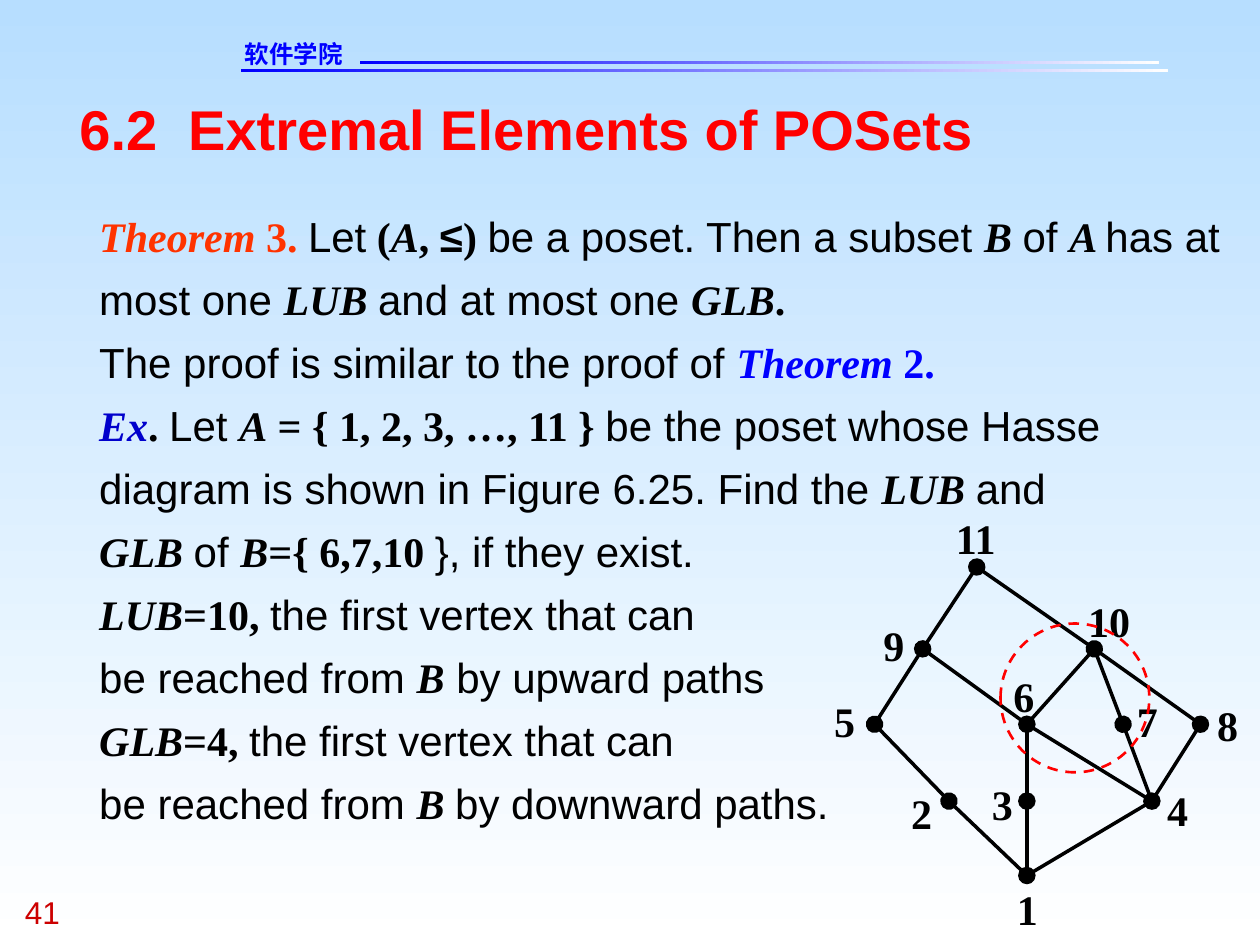
import pptx
import pptx.util
import pptx.dml.color
import pptx.enum.dml
import pptx.enum.shapes
import pptx.enum.text
import pptx.oxml
import pptx.oxml.ns

Cm = pptx.util.Cm
Pt = pptx.util.Pt
ANCHOR = pptx.enum.text.MSO_ANCHOR
ALIGN = pptx.enum.text.PP_ALIGN
SHAPE = pptx.enum.shapes.MSO_SHAPE

THEME = {
    "sans": "Arial", "serif": "Times New Roman", "school": "DejaVu Sans",
    "ink": "000000", "red": "FF0000", "blue": "0000FF", "navy": "0000CC",
    "orange": "FF3300", "page": "CC0000", "sky": "B7DEFF", "white": "FFFFFF",
    "head": 32, "text": 24, "foot": 18, "mark": 14, "edge": 2, "ring": 1.5,
}

PLAIN = {}
BOLD = dict(font="serif", bold=True)
ITAL = dict(font="serif", bold=True, italic=True)

TITLE = "6.2  Extremal Elements of POSets"
SCHOOL = "软件学院"
PAGE = "41"
BODY = [
    [("Theorem ", dict(ITAL, color="orange")), ("3. ", dict(BOLD, color="orange")),
     ("Let", PLAIN), (" (", BOLD), ("A", ITAL), (", ", BOLD), ("≤", dict(bold=True)),
     (") ", BOLD), ("be a poset. Then a subset ", PLAIN), ("B ", ITAL), ("of ", PLAIN),
     ("A ", ITAL), ("has at most one ", PLAIN), ("LUB ", ITAL),
     ("and at most one ", PLAIN), ("GLB", ITAL), (".", BOLD)],
    [("The proof is similar to the proof of ", PLAIN),
     ("Theorem", dict(ITAL, color="blue")), (" 2.", dict(BOLD, color="blue"))],
    [("Ex", dict(ITAL, color="navy")), (". ", BOLD), ("Let ", PLAIN), ("A", ITAL),
     (" = { 1, 2, 3, …, 11 } ", BOLD),
     ("be the poset whose Hasse diagram is shown in Figure 6.25. Find the ", PLAIN),
     ("LUB ", ITAL), ("and\n", PLAIN), ("GLB ", ITAL), ("of ", PLAIN), ("B", ITAL),
     ("={ 6,7,10 ", BOLD), ("}, if they exist.", PLAIN)],
    [("LUB", ITAL), ("=10, ", BOLD),
     ("the first vertex that can\nbe reached from ", PLAIN),
     ("B", ITAL), (" by upward paths", PLAIN)],
    [("GLB", ITAL), ("=4, ", BOLD),
     ("the first vertex that can\nbe reached from ", PLAIN),
     ("B ", ITAL), ("by downward paths.", PLAIN)],
]

NODES = {
    1: (20.7, 17.65), 2: (19.13, 16.15), 3: (20.7, 16.15), 4: (23.22, 16.15),
    5: (17.63, 14.6), 6: (20.7, 14.6), 7: (22.64, 14.6), 8: (24.2, 14.6),
    9: (18.6, 13.08), 10: (22.06, 13.08), 11: (19.69, 11.43),
}
LABELS = {
    1: (20.71, 18.31), 2: (18.58, 16.38), 3: (20.21, 16.2), 4: (23.74, 16.33),
    5: (17.03, 14.53), 6: (20.64, 14.02), 7: (23.13, 14.53), 8: (24.75, 14.6),
    9: (18.02, 13), 10: (22.36, 12.52), 11: (19.67, 10.85),
}
EDGES = [(1, 2), (1, 3), (1, 4), (2, 5), (3, 6), (4, 6), (4, 7), (4, 8),
         (5, 9), (6, 9), (6, 10), (7, 10), (8, 10), (9, 11), (10, 11)]
RULES = [(4.85, 1.4, 18.69, 0.06), (7.26, 1.23, 16.1, 0.06)]
RING = (20.17, 12.57, 3, 3)


def tint(name):
    return pptx.dml.color.RGBColor.from_string(THEME[name])


def blend(fill, start, end, angle):
    fill.gradient()
    fill.gradient_angle = angle
    for stop, name in zip(fill.gradient_stops, (start, end)):
        stop.color.rgb = tint(name)


def write(para, words, font="sans", size="text", color="ink", bold=False, italic=False):
    for num, part in enumerate(words.split("\n")):
        if num:
            para.add_line_break()
        if part:
            run = para.add_run()
            run.text = part
            run.font.name = THEME[font]
            run.font.size = Pt(THEME[size])
            run.font.color.rgb = tint(color)
            run.font.bold = bold
            run.font.italic = italic


def setup(shape, box=None, anchor=ANCHOR.TOP, wrap=True):
    if box:
        shape.left, shape.top, shape.width, shape.height = map(Cm, box)
    frame = shape.text_frame
    frame.margin_left = frame.margin_right = frame.margin_top = frame.margin_bottom = 0
    frame.auto_size = pptx.enum.text.MSO_AUTO_SIZE.NONE
    frame.vertical_anchor = anchor
    frame.word_wrap = wrap
    return frame


def label(shapes, box, words, align=ALIGN.LEFT, wrap=True, **form):
    frame = setup(shapes.add_textbox(*map(Cm, box)), None, ANCHOR.MIDDLE, wrap)
    frame.paragraphs[0].alignment = align
    write(frame.paragraphs[0], words, **form)


def link(shapes, start, end, ends):
    line = shapes.add_connector(pptx.enum.shapes.MSO_CONNECTOR.STRAIGHT,
                                *map(Cm, start + end))
    line.line.color.rgb = tint("ink")
    line.line.width = Pt(THEME["edge"])
    for tag in ends:
        dot = pptx.oxml.ns.qn("a:" + tag)
        line.line._get_or_add_ln().append(
            line._element.makeelement(dot, {"type": "oval", "w": "lg", "len": "lg"}))
    props = line._element.spPr
    props.append(props.makeelement(pptx.oxml.ns.qn("a:effectLst"), {}))


def graph(shapes):
    seen = set()
    for low, high in EDGES:
        ends = []
        if (low, high) == (1, 4):
            ends.append("headEnd")
        if high not in seen:
            ends.append("tailEnd")
        seen.add(high)
        link(shapes, NODES[low], NODES[high], ends)
    for num, (x, y) in LABELS.items():
        wide = 0.42 * len(str(num))
        label(shapes, (x - wide / 2, y - 0.5, wide, 1), str(num),
              ALIGN.CENTER, False, **BOLD)


def main():
    deck = pptx.Presentation()
    deck.slide_width, deck.slide_height = Cm(25.4), Cm(19.05)
    slide = deck.slides.add_slide(deck.slide_layouts[1])
    shapes = slide.shapes
    blend(slide.background.fill, "sky", "white", 270)

    head = setup(shapes.title, (1.6, 1.9, 22.22, 1.35), ANCHOR.MIDDLE)
    head.paragraphs[0].alignment = ALIGN.LEFT
    write(head.paragraphs[0], TITLE, size="head", color="red", bold=True)

    body = setup(slide.placeholders[1], (2, 3.99, 22.83, 12.2))
    for num, runs in enumerate(BODY):
        para = body.add_paragraph() if num else body.paragraphs[0]
        props = para._p.get_or_add_pPr()
        props.set("marL", "0")
        props.set("indent", "0")
        props.append(props.makeelement(pptx.oxml.ns.qn("a:buNone"), {}))
        para.line_spacing = 1.25
        para.space_before = Pt(0)
        for words, form in runs:
            write(para, words, **form)

    for box in RULES:
        rule = shapes.add_shape(SHAPE.RECTANGLE, *map(Cm, box))
        rule.shadow.inherit = False
        rule.line.fill.background()
        blend(rule.fill, "blue", "white", 0)

    label(shapes, (4.93, 0.79, 3.68, 0.58), SCHOOL,
          font="school", size="mark", color="blue", bold=True)
    label(shapes, (0.5, 18, 1.9, 0.76), PAGE, size="foot", color="page")

    graph(shapes.add_group_shape().shapes)

    ring = shapes.add_shape(SHAPE.OVAL, *map(Cm, RING))
    ring.shadow.inherit = False
    ring.fill.background()
    ring.line.color.rgb = tint("red")
    ring.line.width = Pt(THEME["ring"])
    ring.line.dash_style = pptx.enum.dml.MSO_LINE.DASH

    deck.save("out.pptx")


if __name__ == "__main__":
    main()
